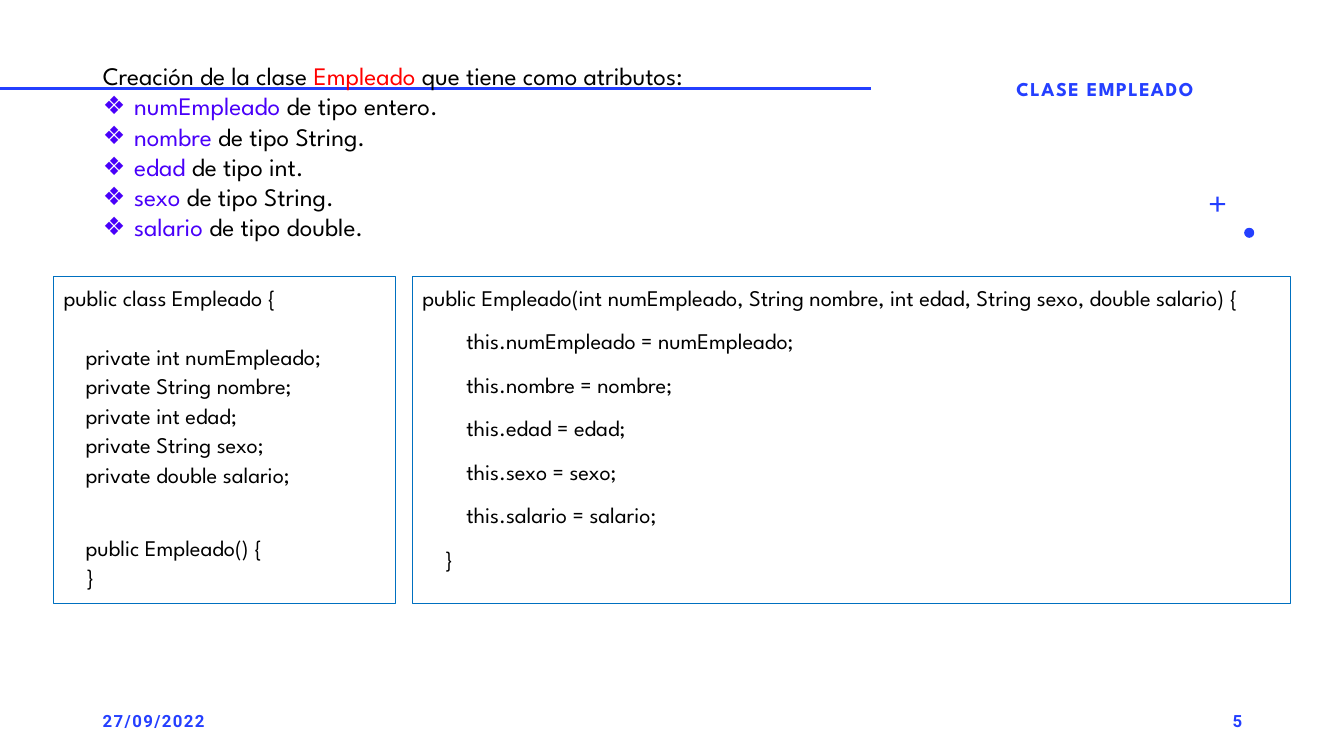
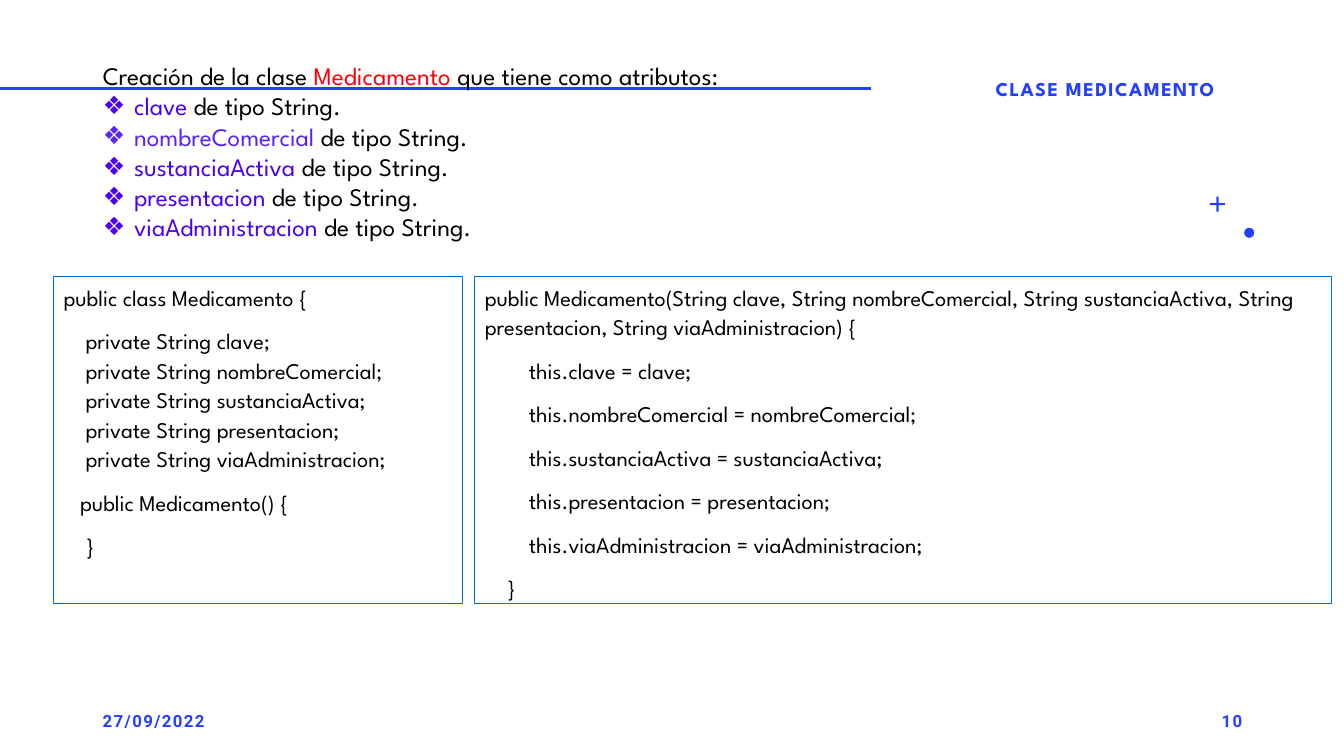
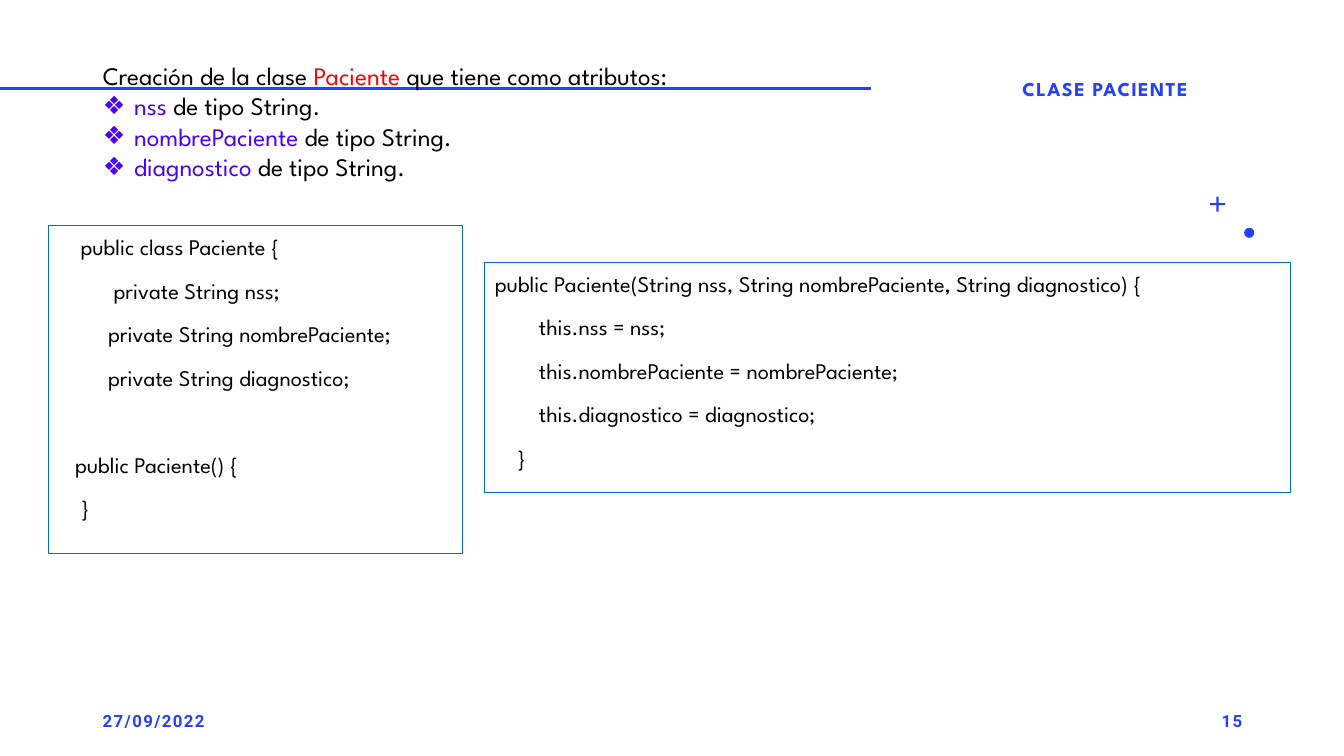
from dataclasses import dataclass

from lxml.etree import SubElement
from pptx import Presentation
from pptx.dml.color import RGBColor
from pptx.enum.shapes import MSO_CONNECTOR, MSO_SHAPE
from pptx.enum.text import MSO_ANCHOR, MSO_AUTO_SIZE, PP_ALIGN
from pptx.oxml.ns import qn
from pptx.util import Inches, Pt

BLUE = RGBColor(0x24, 0x3F, 0xFF)
EDGE = RGBColor(0x00, 0x70, 0xC0)
BLACK = RGBColor(0x00, 0x00, 0x00)
RED = RGBColor(0xFF, 0x00, 0x00)
VIOLET = RGBColor(0x49, 0x00, 0xF9)
LILAC = RGBColor(0x58, 0x23, 0xFC)
SPARTAN = "League Spartan"
ROBOTO = "Roboto"
DATE = "27/09/2022"
HANG = Inches(0.31)
GAP = 10  # points between code blocks
ROW = 21  # points of one blank code line


@dataclass(frozen=True)
class Box:
    left: float
    top: float
    width: float
    height: float


@dataclass(frozen=True)
class Field:
    kind: str
    name: str
    label: str = ""
    color: RGBColor = VIOLET


@dataclass(frozen=True)
class Line:
    text: str
    gap: int = 0


@dataclass(frozen=True)
class Topic:
    page: int
    name: str
    fields: list[Field]
    code: list[Line]
    area: Box  # attribute list
    left: Box  # class code
    right: Box  # constructor code


TOPICS = [
    Topic(
        5, "Empleado",
        [Field("int", "numEmpleado", "entero"), Field("String", "nombre"),
         Field("int", "edad"), Field("String", "sexo"),
         Field("double", "salario")],
        [Line("public class Empleado {"),
         Line("    private int numEmpleado;", ROW),
         Line("    private String nombre;"),
         Line("    private int edad;"),
         Line("    private String sexo;"),
         Line("    private double salario;"),
         Line("    public Empleado() {", ROW + GAP),
         Line("    }")],
        Box(0.92, 0.55, 7.79, 1.92),
        Box(0.53, 2.74, 3.39, 3.25), Box(4.09, 2.74, 8.71, 3.25)),
    Topic(
        10, "Medicamento",
        [Field("String", "clave"),
         Field("String", "nombreComercial", color=LILAC),
         Field("String", "sustanciaActiva"), Field("String", "presentacion"),
         Field("String", "viaAdministracion")],
        [Line("public class Medicamento {"),
         Line("    private String clave;", GAP),
         Line("    private String nombreComercial;"),
         Line("    private String sustanciaActiva;"),
         Line("    private String presentacion;"),
         Line("    private String viaAdministracion;"),
         Line("   public Medicamento() {", GAP),
         Line("    }", GAP)],
        Box(0.92, 0.55, 7.79, 1.92),
        Box(0.53, 2.74, 4.06, 3.25), Box(4.71, 2.74, 8.5, 3.25)),
    Topic(
        15, "Paciente",
        [Field("String", "nss"), Field("String", "nombrePaciente"),
         Field("String", "diagnostico")],
        [Line("    public class Paciente {"),
         Line("          private String nss;", GAP),
         Line("         private String nombrePaciente;", GAP),
         Line("         private String diagnostico;", GAP),
         Line("   public Paciente() {", ROW + 2 * GAP),
         Line("    }", GAP)],
        Box(0.92, 0.55, 7.79, 1.31),
        Box(0.48, 2.24, 4.11, 3.25), Box(4.81, 2.6, 7.99, 2.29)),
]


def write(par, text: str, *, size: int = 18, font: str = SPARTAN,
          color: RGBColor = BLACK, bold: bool = False, track: int = 0) -> None:
    """Add one formatted run to a paragraph."""
    run = par.add_run()
    run.text = text
    run.font.size, run.font.name, run.font.bold = Pt(size), font, bold
    run.font.color.rgb = color
    if track:
        run.font._element.set("spc", str(track * 100))


def spread(box: Box) -> list[int]:
    return [Inches(n) for n in (box.left, box.top, box.width, box.height)]


def place(shape, box: Box) -> None:
    shape.left, shape.top, shape.width, shape.height = spread(box)


def frame(shape, anchor: MSO_ANCHOR = MSO_ANCHOR.TOP):
    text = shape.text_frame
    text.word_wrap, text.auto_size = True, MSO_AUTO_SIZE.NONE
    text.vertical_anchor = anchor
    return text


def start(text, first: bool, *, gap: int = 0, pitch: float = 1.0,
          mark: str = ""):
    """Return the next paragraph with its spacing and bullet."""
    par = text.paragraphs[0] if first else text.add_paragraph()
    par.alignment = PP_ALIGN.LEFT
    par.space_before, par.line_spacing = Pt(gap), pitch
    props = par._p.get_or_add_pPr()
    props.set("marL", str(HANG if mark else 0))
    props.set("indent", str(-HANG if mark else 0))
    if mark:
        SubElement(props, qn("a:buChar")).set("char", mark)
    else:
        SubElement(props, qn("a:buNone"))
    return par


def label(shape, text: str, align: PP_ALIGN, size: int, font: str) -> None:
    """Write the blue, spaced text of titles and footers."""
    par = frame(shape, MSO_ANCHOR.MIDDLE).paragraphs[0]
    par.alignment = align
    write(par, text, size=size, font=font, color=BLUE, bold=True, track=1)


def decor(slide) -> None:
    """Draw the rule, the dot and the plus behind the text."""
    rule = slide.shapes.add_connector(
        MSO_CONNECTOR.STRAIGHT, 0, Inches(0.88), Inches(8.64), Inches(0.88))
    rule.line.color.rgb, rule.line.width = BLUE, Pt(2)
    SubElement(rule._element.spPr, qn("a:effectLst"))
    marks = [rule]
    for kind, box in ((MSO_SHAPE.OVAL, Box(12.34, 2.26, 0.1, 0.1)),
                      (MSO_SHAPE.CROSS, Box(12, 1.95, 0.15, 0.15))):
        mark = slide.shapes.add_shape(kind, *spread(box))
        mark.shadow.inherit = False
        mark.fill.solid()
        mark.fill.fore_color.rgb = BLUE
        mark.line.fill.background()
        marks.append(mark)
    marks[-1].adjustments[0] = 0.43
    for spot, mark in enumerate(marks, 2):
        slide.shapes.element.insert(spot, mark._element)


def foot(slide, page: int) -> None:
    for left, text, align in ((0.92, DATE, PP_ALIGN.LEFT),
                              (9.42, str(page), PP_ALIGN.RIGHT)):
        area = slide.shapes.add_textbox(*spread(Box(left, 6.95, 3, 0.4)))
        label(area, text, align, 12, ROBOTO)


def roster(shape, topic: Topic) -> None:
    """List the attributes of the class."""
    place(shape, topic.area)
    text = frame(shape)
    par = start(text, True)
    write(par, "Creación de la clase ")
    write(par, topic.name, color=RED)
    write(par, " que tiene como atributos:")
    for field in topic.fields:
        par = start(text, False, mark="❖")
        write(par, field.name, color=field.color)
        write(par, f" de tipo {field.label or field.kind}.")


def panel(shape, lines: list[Line]) -> None:
    """Fill an outlined box with code."""
    shape.fill.background()
    shape.line.color.rgb, shape.line.width = EDGE, Pt(0.75)
    text = frame(shape)
    for spot, line in enumerate(lines):
        par = start(text, spot == 0, gap=line.gap, pitch=1.1)
        write(par, line.text, size=16)


def builder(topic: Topic) -> list[Line]:
    """Compose the constructor from the fields."""
    args = ", ".join(f"{f.kind} {f.name}" for f in topic.fields)
    return [Line(f"public {topic.name}({args}) {{"),
            *(Line(f"        this.{f.name} = {f.name};", GAP)
              for f in topic.fields),
            Line("    }", GAP)]


def build(deck, topic: Topic) -> None:
    slide = deck.slides.add_slide(deck.slide_layouts[3])
    title, attrs, code = slide.placeholders
    place(title, Box(8.71, 0.68, 4.5, 0.4))
    label(title, f"CLASE {topic.name.upper()}", PP_ALIGN.CENTER, 14, SPARTAN)
    roster(attrs, topic)
    place(code, topic.left)
    panel(code, topic.code)
    maker = slide.shapes.add_shape(MSO_SHAPE.RECTANGLE, *spread(topic.right))
    maker.shadow.inherit = False
    panel(maker, builder(topic))
    foot(slide, topic.page)
    decor(slide)


def main() -> None:
    deck = Presentation()
    deck.slide_width, deck.slide_height = Inches(13.33), Inches(7.5)
    for topic in TOPICS:
        build(deck, topic)
    deck.save("out.pptx")


if __name__ == "__main__":
    main()
